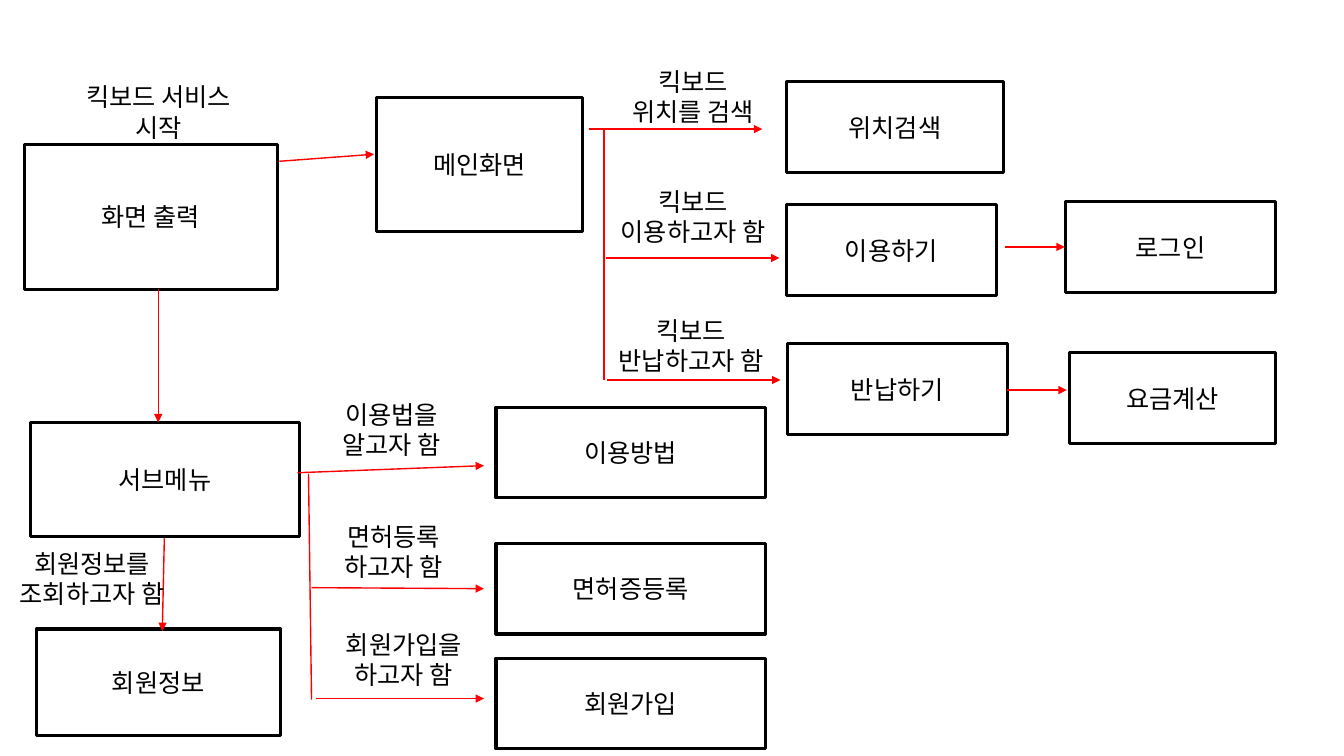
from typing import NamedTuple

from lxml.etree import SubElement
from pptx import Presentation
from pptx.dml.color import RGBColor
from pptx.enum.shapes import MSO_CONNECTOR, MSO_SHAPE
from pptx.enum.text import MSO_ANCHOR, PP_ALIGN
from pptx.oxml.ns import qn
from pptx.util import Inches, Pt

FONT = "Noto Sans CJK KR"
BLACK, WHITE, RED = "000000", "FFFFFF", "FF0000"


class Node(NamedTuple):
    text: str
    left: float
    top: float
    width: float
    height: float = 0.9


class Label(NamedTuple):
    text: str
    left: float
    top: float
    width: float = 3.03
    height: float = 0.98


class Link(NamedTuple):
    x1: float
    y1: float
    x2: float
    y2: float
    arrow: bool = True


SCREENS = [
    Node("화면 출력", 0.24, 1.43, 2.51, 1.44),
    Node("메인화면", 3.73, 0.97, 2.05, 1.33),
    Node("위치검색", 7.8, 0.81, 2.15),
    Node("이용하기", 7.8, 2.03, 2.08),
    Node("반납하기", 7.81, 3.41, 2.18),
    Node("로그인", 10.57, 2, 2.08),
    Node("요금계산", 10.61, 3.5, 2.04),
    Node("서브메뉴", 0.3, 4.19, 2.67, 1.13),
    Node("이용방법", 4.92, 4.04, 2.67),
    Node("면허증등록", 4.92, 5.39, 2.67),
    Node("회원가입", 4.92, 6.53, 2.67),
    Node("회원정보", 0.36, 6.24, 2.42, 1.06),
]

LINKS = [
    # Start screen to main screen and submenu
    Link(2.77, 1.6, 3.71, 1.53),
    Link(1.57, 2.87, 1.57, 4.19),
    # Main screen branches
    Link(5.84, 1.28, 7.56, 1.28),
    Link(5.99, 1.28, 5.99, 2.52, arrow=False),
    Link(5.99, 2.52, 5.99, 3.77, arrow=False),
    Link(6.01, 2.56, 7.73, 2.56),
    Link(6.02, 3.77, 7.74, 3.77),
    Link(9.97, 2.45, 10.56, 2.45),
    Link(9.99, 3.87, 10.58, 3.87),
    # Submenu branches
    Link(2.95, 4.69, 4.8, 4.62),
    Link(3.06, 4.7, 3.09, 6.94, arrow=False),
    Link(3.09, 5.83, 4.8, 5.84),
    Link(3.13, 6.93, 4.8, 6.93),
    Link(1.63, 5.34, 1.61, 6.26),
]

CONDITIONS = [
    Label("킥보드 서비스\n시작", 0.06, 0.62),
    Label("킥보드\n위치를 검색", 5.36, 0.47),
    Label("킥보드\n이용하고자 함", 5.36, 1.66),
    Label("킥보드\n반납하고자 함", 5.34, 2.94),
    Label("이용법을\n알고자 함", 2.51, 3.77, 2.75),
    Label("면허등록\n하고자 함", 2.47, 5.02, 2.87, 0.9),
    Label("회원가입을\n하고자 함", 2.55, 6.08, 2.91, 0.92),
    Label("회원정보를\n조회하고자 함", -0.6, 5.25),
]


def color(value: str) -> RGBColor:
    return RGBColor.from_string(value)


def write_text(shape, text: str, *, size: float = 18, ink: str = BLACK,
               align=PP_ALIGN.CENTER, anchor=MSO_ANCHOR.MIDDLE) -> None:
    frame = shape.text_frame
    frame.word_wrap = True
    frame.vertical_anchor = anchor
    frame.text = text
    for paragraph in frame.paragraphs:
        paragraph.alignment = align
        for run in paragraph.runs:
            run.font.size = Pt(size)
            run.font.name = FONT
            run.font.color.rgb = color(ink)
            east_asian = SubElement(run.font._element, qn("a:ea"))
            east_asian.set("typeface", FONT)


def add_item(slide, item: Node | Label, preset):
    shape = slide.shapes.add_shape(
        preset, Inches(item.left), Inches(item.top),
        Inches(item.width), Inches(item.height))
    shape.shadow.inherit = False
    write_text(shape, item.text)
    return shape


def draw_screen(slide, node: Node) -> None:
    shape = add_item(slide, node, MSO_SHAPE.RECTANGLE)
    shape.fill.solid()
    shape.fill.fore_color.rgb = color(WHITE)
    shape.line.color.rgb = color(BLACK)
    shape.line.width = Pt(2.25)


def draw_condition(slide, label: Label) -> None:
    shape = add_item(slide, label, MSO_SHAPE.OVAL)
    shape.fill.background()
    shape.line.fill.background()


def draw_link(slide, link: Link) -> None:
    connector = slide.shapes.add_connector(
        MSO_CONNECTOR.STRAIGHT, Inches(link.x1), Inches(link.y1),
        Inches(link.x2), Inches(link.y2))
    connector.line.color.rgb = color(RED)
    connector.line.width = Pt(1)
    if link.arrow:
        SubElement(connector.line._get_or_add_ln(), qn("a:tailEnd")).set("type", "triangle")
    SubElement(connector._element.spPr, qn("a:effectLst"))


presentation = Presentation()
presentation.slide_width = Inches(13.33)
presentation.slide_height = Inches(7.5)
slide = presentation.slides.add_slide(presentation.slide_layouts[6])

# Screens, then the links between them, then the conditions on the links
for screen in SCREENS:
    draw_screen(slide, screen)
for link in LINKS:
    draw_link(slide, link)
for condition in CONDITIONS:
    draw_condition(slide, condition)

presentation.save("out.pptx")
